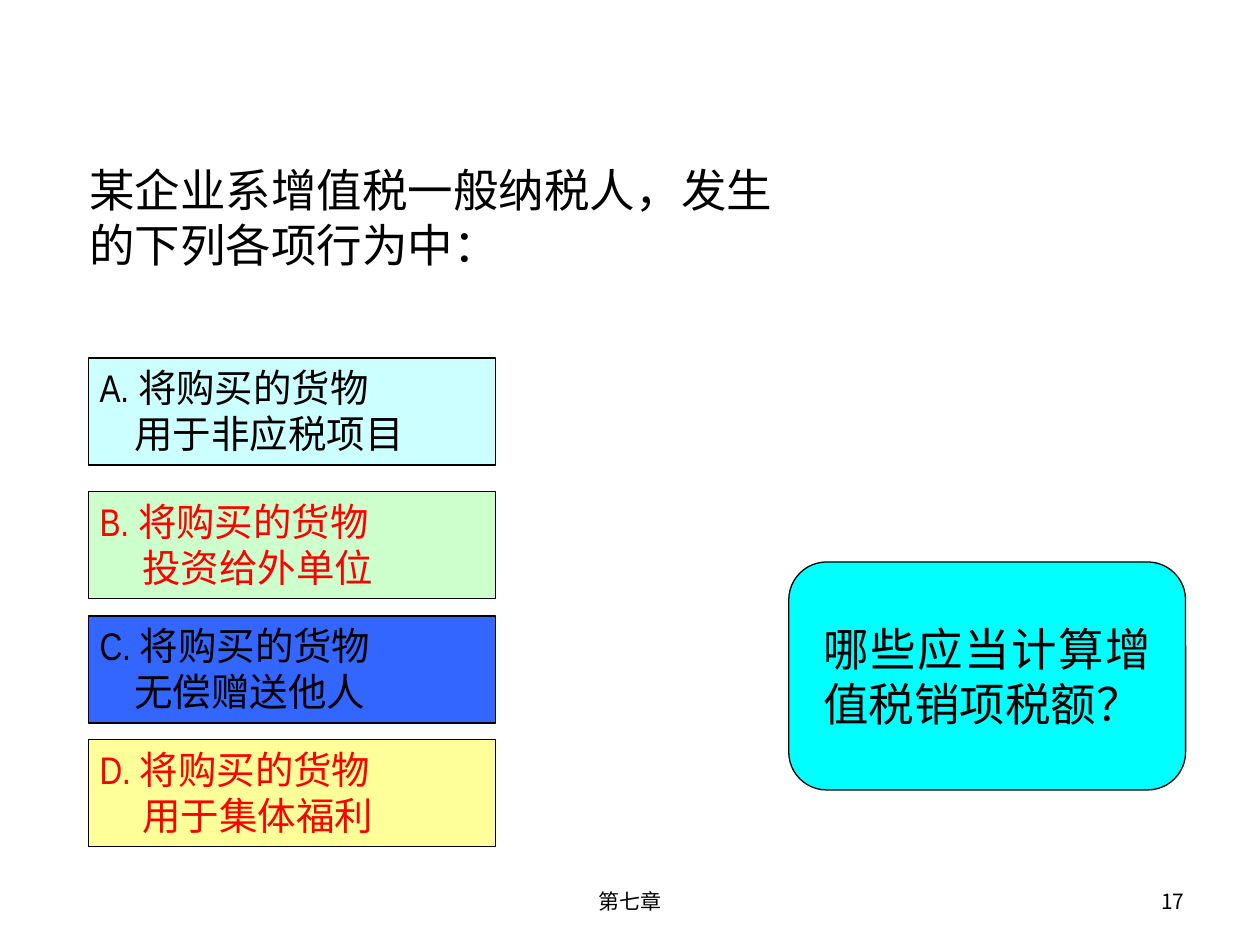
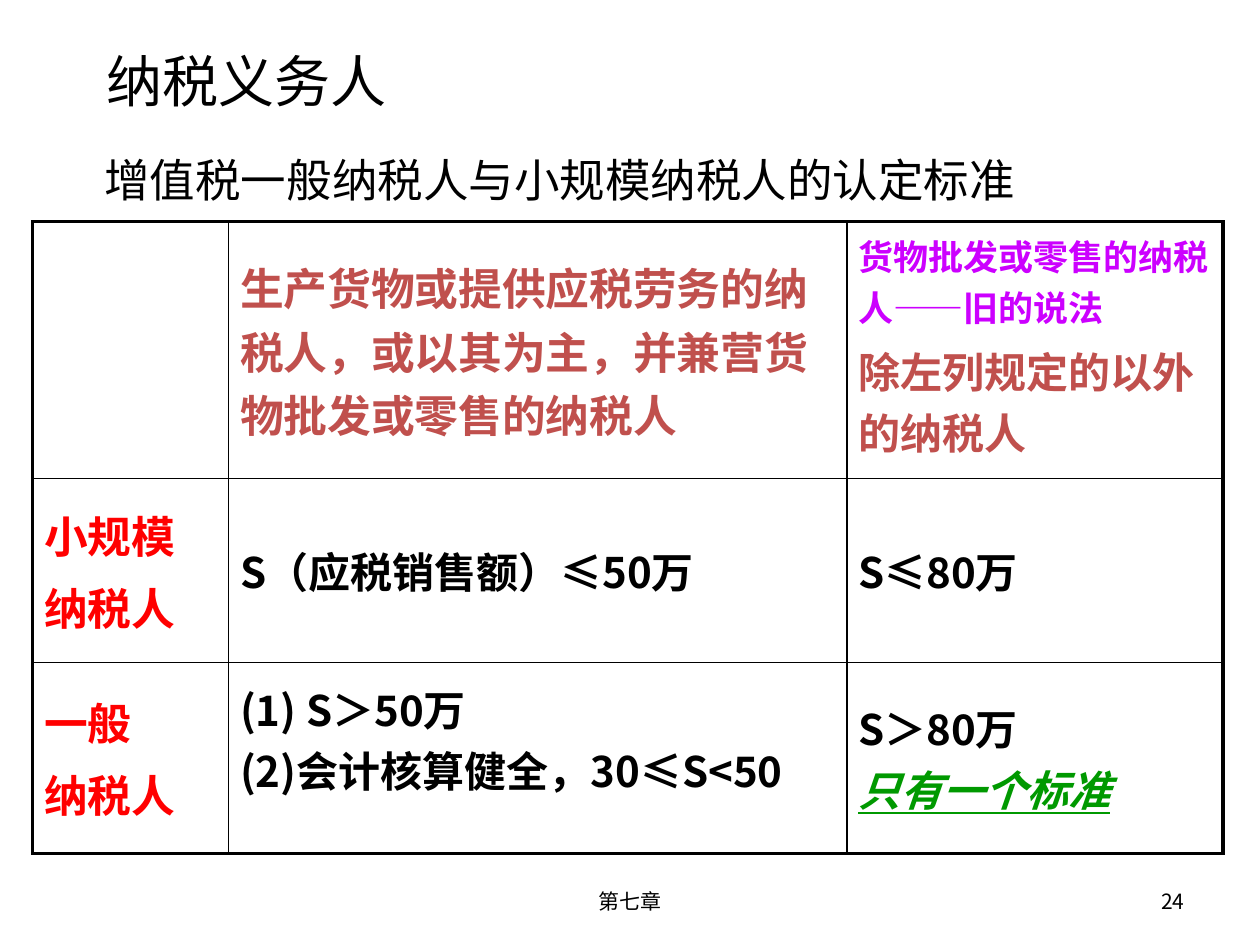
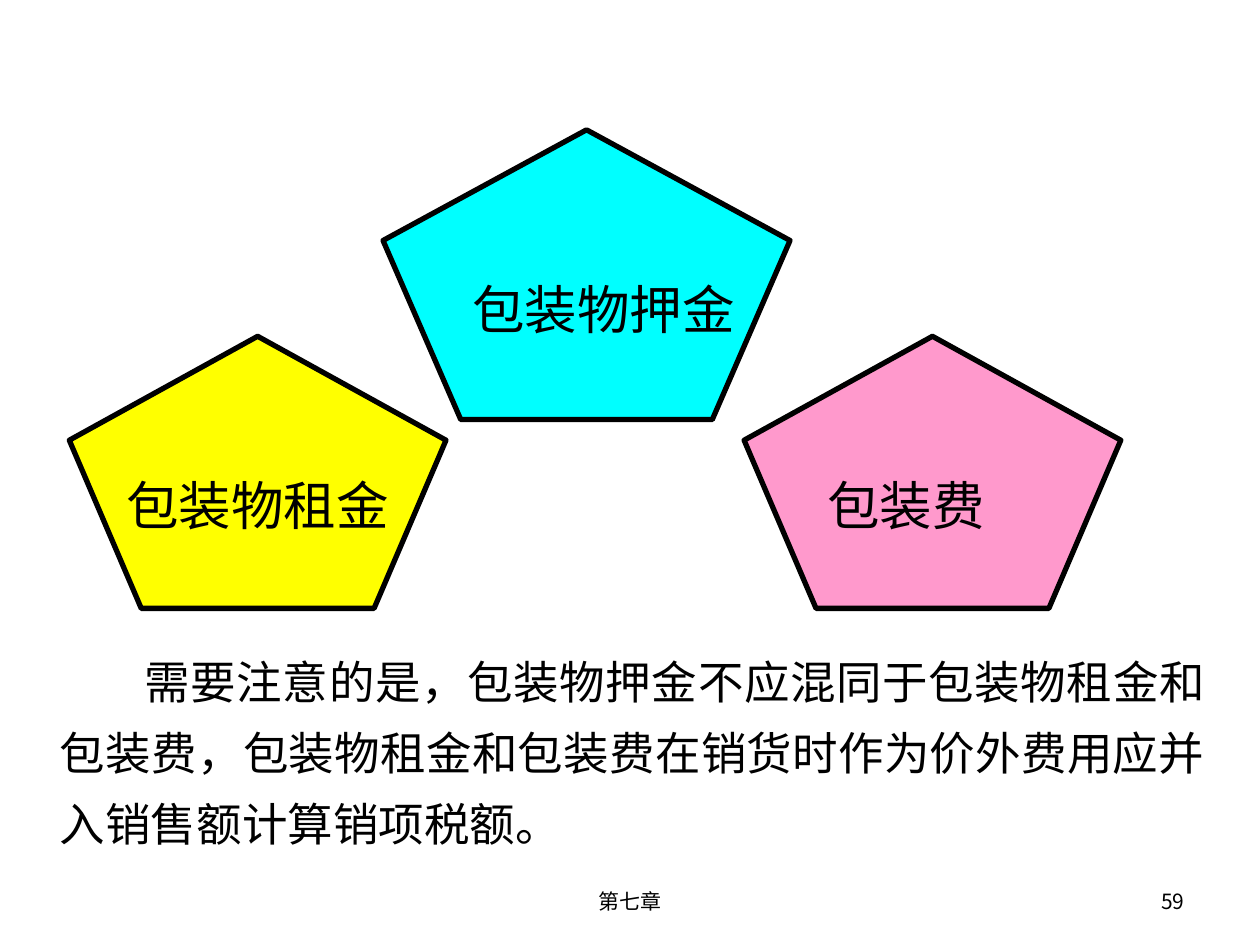
from lxml import etree
from pptx import Presentation
from pptx.dml.color import RGBColor
from pptx.enum import shapes, text
from pptx.oxml.ns import qn
from pptx.util import Pt

BLACK = RGBColor(0, 0, 0)
RED = RGBColor(0xFF, 0, 0)
CYAN = RGBColor(0, 0xFF, 0xFF)
YELLOW = RGBColor(0xFF, 0xFF, 0)
PINK = RGBColor(0xFF, 0x99, 0xCC)
PALE_CYAN = RGBColor(0xCC, 0xFF, 0xFF)
PALE_GREEN = RGBColor(0xCC, 0xFF, 0xCC)
PALE_YELLOW = RGBColor(0xFF, 0xFF, 0x99)
BLUE = RGBColor(0x33, 0x66, 0xFF)
BRICK = RGBColor(0xC0, 0x50, 0x4D)
PURPLE = RGBColor(0xCC, 0, 0xFF)
GREEN = RGBColor(0, 0x99, 0)

SANS, NARROW = "Noto Sans CJK SC", "Arial Narrow"
LEFT, CENTER, RIGHT, JUSTIFY = (text.PP_ALIGN.LEFT, text.PP_ALIGN.CENTER,
                                text.PP_ALIGN.RIGHT, text.PP_ALIGN.JUSTIFY)
TOP, MIDDLE = text.MSO_ANCHOR.TOP, text.MSO_ANCHOR.MIDDLE
SHAPE = shapes.MSO_SHAPE
INSETS = (6.5, 3.6, 6.5, 3.6)
LOOSE = 1.3

CHAPTER = "第七章"
PAGES = (17, 24, 59)

SITUATION = "某企业系增值税一般纳税人，发生的下列各项行为中："
QUESTION = "哪些应当计算增值税销项税额？"
OPTIONS = [
    (204.5, PALE_CYAN, BLACK, "A. 将购买的货物", "用于非应税项目", 20),
    (280.8, PALE_GREEN, RED, "B. 将购买的货物", "投资给外单位", 24.5),
    (352, BLUE, BLACK, "C. 将购买的货物", "无偿赠送他人", 20),
    (422.6, PALE_YELLOW, RED, "D. 将购买的货物", "用于集体福利", 24.5),
]

TOPIC = "纳税义务人"
STANDARD = "增值税一般纳税人与小规模纳税人的认定标准"
COLUMNS = (112, 353.2, 215)
ROWS = (146.8, 105.1, 109.1)
RAISED = {(0, 2): 5.5, (2, 1): 21.7}


def bold(words, size=24, color=BLACK, name=SANS, **more):
    return dict(words=words, size=size, color=color, name=name, bold=True, **more)


CRITERIA = [
    [[],
     [bold("生产货物或提供应税劳务的纳税人，或以其为主，并兼营货物批发或零售的纳税人", 25, BRICK, NARROW)],
     [bold("货物批发或零售的纳税人——旧的说法", 20, PURPLE, NARROW),
      bold("除左列规定的以外的纳税人", 24, BRICK, NARROW, before=4.8)]],
    [[bold("小规模", 25, RED, NARROW), bold("纳税人", 25, RED, NARROW, before=5)],
     [bold("S（应税销售额）≤50万")],
     [bold("S≤80万")]],
    [[bold("一般", 25, RED, NARROW), bold("纳税人", 25, RED, NARROW, before=5)],
     [bold("(1) S＞50万"), bold("(2)会计核算健全，30≤S<50")],
     [bold("S＞80万"), bold("只有一个标准", color=GREEN, italic=True, underline=True)]],
]

PACKAGING = [
    ("包装物租金", (39.6, 192.2, 215.3, 155.5), YELLOW, True),
    ("包装物押金", (218.9, 74.2, 232.6, 165.6), CYAN, False),
    ("包装费", (425.2, 192.2, 215.3, 155.5), PINK, False),
]
REMINDER = ("需要注意的是，包装物押金不应混同于包装物租金和包装费，"
            "包装物租金和包装费在销货时作为价外费用应并入销售额计算销项税额。")


def write(frame, lines, align=LEFT, spacing=None):
    for number, line in enumerate(lines):
        paragraph = frame.add_paragraph() if number else frame.paragraphs[0]
        line = dict(line)
        words, color = line.pop("words"), line.pop("color", BLACK)
        before, left, first = (line.pop(key, 0) for key in ("before", "left", "first"))
        paragraph.alignment = align
        if spacing:
            paragraph.line_spacing = spacing
        if before:
            paragraph.space_before = Pt(before)
        if left or first:
            properties = paragraph._p.get_or_add_pPr()
            properties.set("marL", str(int(Pt(left))))
            properties.set("indent", str(int(Pt(first))))
        run = paragraph.add_run()
        run.text = words
        font_values = {"name": SANS, **line, "size": Pt(line["size"])}
        for key, value in font_values.items():
            setattr(run.font, key, value)
        run.font.color.rgb = color
        etree.SubElement(run._r.get_or_add_rPr(), qn("a:ea")).set("typeface", SANS)


def set_frame(holder, insets, anchor, **more):
    left, top, right, bottom = map(Pt, insets)
    values = dict(margin_left=left, margin_top=top, margin_right=right,
                  margin_bottom=bottom, vertical_anchor=anchor, **more)
    for key, value in values.items():
        setattr(holder, key, value)


def add_words(slide, box, lines, align=LEFT, anchor=TOP, spacing=None,
              insets=(7.2, 3.6, 7.2, 3.6)):
    frame = slide.shapes.add_textbox(*map(Pt, box)).text_frame
    set_frame(frame, insets, anchor, word_wrap=True)
    write(frame, lines, align, spacing)


def add_figure(slide, kind, box, fill, lines, weight=0.75, align=LEFT,
               anchor=MIDDLE, wrap=True, insets=INSETS):
    figure = slide.shapes.add_shape(kind, *map(Pt, box))
    figure.shadow.inherit = False
    figure.fill.solid()
    figure.fill.fore_color.rgb = fill
    figure.line.color.rgb = BLACK
    figure.line.width = Pt(weight)
    set_frame(figure.text_frame, insets, anchor, word_wrap=wrap)
    write(figure.text_frame, lines, align)
    return figure


def add_borders(cell, weights):
    properties = cell._tc.get_or_add_tcPr()
    for place, (side, weight) in enumerate(weights.items()):
        border = etree.Element(qn("a:ln" + side), w=str(int(Pt(weight))))
        fill = etree.SubElement(border, qn("a:solidFill"))
        etree.SubElement(fill, qn("a:srgbClr")).set("val", str(BLACK))
        properties.insert(place, border)


def add_footer(slide, page):
    for words, left, width, align in ((CHAPTER, 246.2, 228.2, CENTER),
                                      (str(page), 516.2, 167.8, RIGHT)):
        add_words(slide, (left, 500.4, width, 28.8), [dict(words=words, size=12)], align, MIDDLE)


def build_question(slide):
    add_words(slide, (44.6, 89.3, 429.1, 69.1), [dict(words=SITUATION, size=26)], insets=INSETS)
    for top, fill, color, action, purpose, offset in OPTIONS:
        style = dict(size=22, name=NARROW, color=color)
        add_figure(slide, SHAPE.RECTANGLE, (50.4, top, 232.6, 61.2), fill,
                   [dict(words=action, **style), dict(words=purpose, left=offset, **style)],
                   anchor=TOP)
    add_figure(slide, SHAPE.ROUNDED_RECTANGLE, (450.7, 321.1, 226.8, 130.3), CYAN,
               [dict(words=QUESTION, size=26)], align=JUSTIFY, insets=(13.3, 3.6, 13.3, 3.6))


def build_criteria(slide):
    add_words(slide, (0, 74.2, 702, 45.4), [dict(words=STANDARD, size=26, left=53.2)],
              spacing=LOOSE, insets=INSETS)
    table = slide.shapes.add_table(len(ROWS), len(COLUMNS), Pt(18.7), Pt(126.7),
                                   Pt(sum(COLUMNS)), Pt(sum(ROWS))).table
    table.first_row = table.horz_banding = False
    for column, width in zip(table.columns, COLUMNS):
        column.width = Pt(width)
    for row, height in zip(table.rows, ROWS):
        row.height = Pt(height)
    for r, entries in enumerate(CRITERIA):
        for c, lines in enumerate(entries):
            cell = table.cell(r, c)
            cell.fill.background()
            left, top, right, bottom = INSETS
            set_frame(cell, (left, top, right, bottom + RAISED.get((r, c), 0)), MIDDLE)
            write(cell.text_frame, lines)
            outer = dict(L=c == 0, R=c == len(COLUMNS) - 1, T=r == 0, B=r == len(ROWS) - 1)
            add_borders(cell, {side: 2.25 if edge else 1 for side, edge in outer.items()})
    add_words(slide, (54, 23, 378, 45.4), [dict(words=TOPIC, size=32)])


def build_packaging(slide):
    add_words(slide, (0, 360.7, 696.2, 125.3),
              [dict(words=REMINDER, size=26, left=27.2, first=48.3)], JUSTIFY, spacing=LOOSE)
    for words, box, fill, centred in PACKAGING:
        pentagon = add_figure(slide, SHAPE.REGULAR_PENTAGON, box, fill,
                              [dict(words=words, size=30)], weight=3, wrap=False)
        if centred:
            pentagon.text_frame._txBody.bodyPr.set("anchorCtr", "1")


def main():
    deck = Presentation()
    deck.slide_width, deck.slide_height = Pt(720), Pt(540)
    for page, build in zip(PAGES, (build_question, build_criteria, build_packaging)):
        slide = deck.slides.add_slide(deck.slide_layouts[6])
        add_footer(slide, page)
        build(slide)
    deck.save("out.pptx")


if __name__ == "__main__":
    main()
